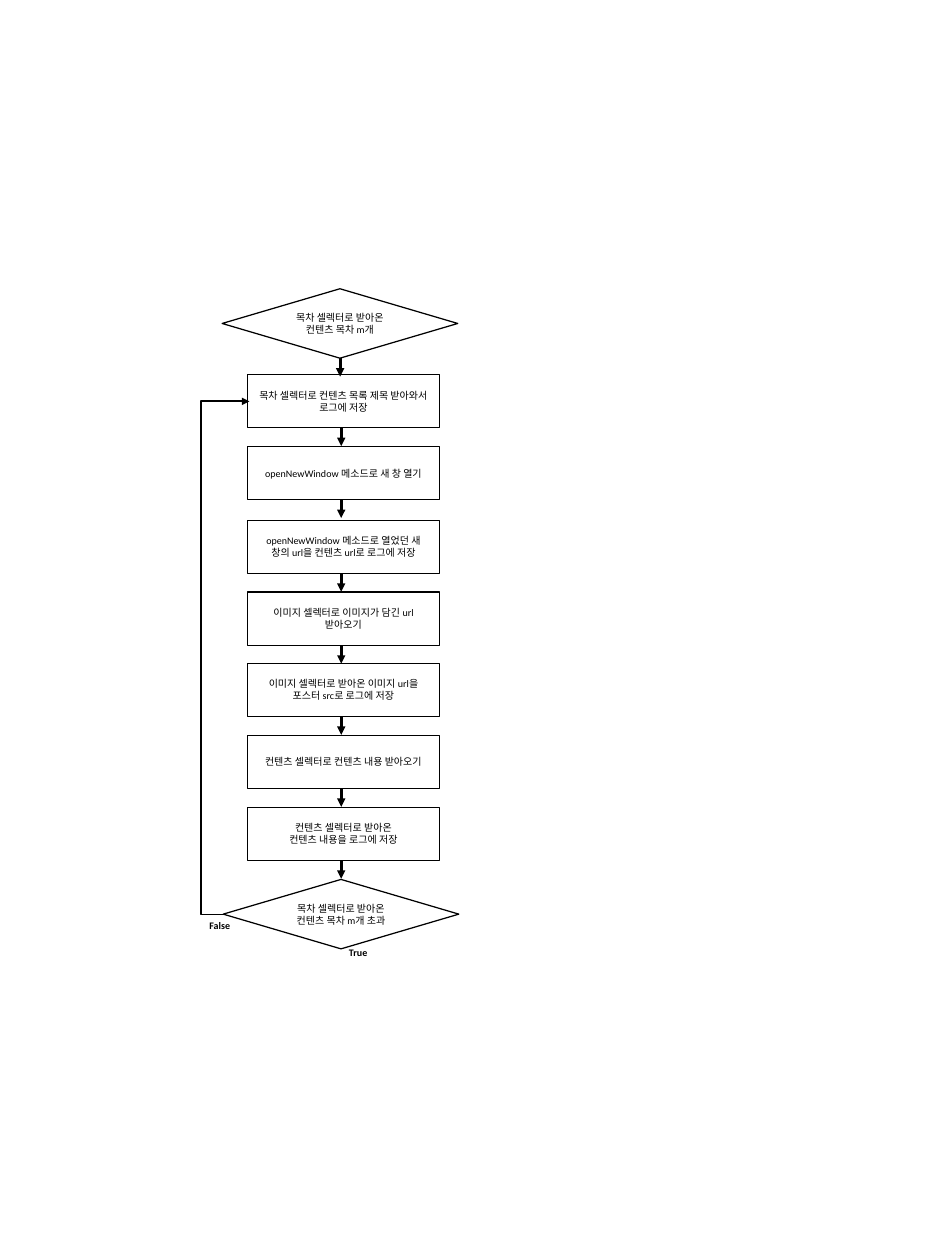
from dataclasses import dataclass

from lxml import etree
from pptx import Presentation
from pptx.dml.color import RGBColor
from pptx.enum.shapes import MSO_CONNECTOR as CONN, MSO_SHAPE as SHAPE
from pptx.enum.text import MSO_ANCHOR as ANCHOR, MSO_AUTO_SIZE as AUTO, PP_ALIGN as ALIGN
from pptx.oxml.ns import qn
from pptx.util import Cm, Pt

BLACK, WHITE = "000000", "FFFFFF"
STEP_LEFT, STEP_W, STEP_H = 6.99, 5.41, 1.5
DECISION_W, DECISION_H = 6.65, 1.96
ARROW_X, ARROW_LEN = 9.63, 0.52


@dataclass
class Node:
    """A flowchart node; lengths in centimetres, one paragraph per line of text."""
    text: str
    top: float
    left: float = STEP_LEFT
    w: float = STEP_W
    h: float = STEP_H
    kind: SHAPE = SHAPE.RECTANGLE
    arrow_x: float = ARROW_X


def decision(text: str, top: float, left: float, arrow_x: float = ARROW_X) -> Node:
    return Node(text, top, left, DECISION_W, DECISION_H,
                SHAPE.FLOWCHART_DECISION, arrow_x)


START = decision("목차 셀렉터로 받아온 컨텐츠 목차 m개", 8.15, 6.27, 9.6)
STEPS = [
    Node("목차 셀렉터로 컨텐츠 목록 제목 받아와서 로그에 저장", 10.57),
    Node("openNewWindow 메소드로 새 창 열기", 12.6),
    Node("openNewWindow 메소드로 열었던 새 창의 url을 컨텐츠 url로 로그에 저장", 14.68),
    Node("이미지 셀렉터로 이미지가 담긴 url 받아오기", 16.71),
    Node("이미지 셀렉터로 받아온 이미지 url을 포스터 src로 로그에 저장", 18.72),
    Node("컨텐츠 셀렉터로 컨텐츠 내용 받아오기", 20.75),
    Node("컨텐츠 셀렉터로 받아온\n컨텐츠 내용을 로그에 저장", 22.78),
]
END = decision("목차 셀렉터로 받아온 컨텐츠 목차 m개 초과", 24.82, 6.3)


def color(value: str) -> RGBColor:
    return RGBColor.from_string(value)


def write(tf, text: str, *, size: float = 8, bold: bool = False,
          align: ALIGN = ALIGN.LEFT, anchor: ANCHOR = ANCHOR.TOP) -> None:
    tf.word_wrap = True
    tf.vertical_anchor = anchor
    for i, line in enumerate(text.split("\n")):
        p = tf.add_paragraph() if i else tf.paragraphs[0]
        p.alignment = align
        r = p.add_run()
        r.text = line
        r.font.name, r.font.size, r.font.bold = "Calibri", Pt(size), bold
        r.font.color.rgb = color(BLACK)


def draw_node(slide, node: Node) -> None:
    sp = slide.shapes.add_shape(node.kind, Cm(node.left), Cm(node.top),
                                Cm(node.w), Cm(node.h))
    sp.shadow.inherit = False
    sp.fill.solid()
    sp.fill.fore_color.rgb = color(WHITE)
    sp.line.color.rgb = color(BLACK)
    sp.line.width = Pt(1)
    write(sp.text_frame, node.text, align=ALIGN.CENTER, anchor=ANCHOR.MIDDLE)


def draw_arrow(slide, x1: float, y1: float, x2: float, y2: float,
               width: float = 2.25, kind: CONN = CONN.STRAIGHT):
    cxn = slide.shapes.add_connector(kind, Cm(x1), Cm(y1), Cm(x2), Cm(y2))
    cxn.line.color.rgb = color(BLACK)
    cxn.line.width = Pt(width)
    etree.SubElement(cxn.line._get_or_add_ln(), qn("a:tailEnd"), type="triangle")
    etree.SubElement(cxn._element.spPr, qn("a:effectLst"))
    return cxn


def draw_label(slide, text: str, left: float, top: float) -> None:
    tf = slide.shapes.add_textbox(Cm(left), Cm(top), Cm(1.27), Cm(0.61)).text_frame
    write(tf, text, bold=True)
    tf.auto_size = AUTO.SHAPE_TO_FIT_TEXT


def main() -> None:
    prs = Presentation()
    prs.slide_width, prs.slide_height = Cm(26.67), Cm(35.56)
    slide = prs.slides.add_slide(prs.slide_layouts[6])

    # Nodes, then the arrow that leaves each one downwards
    for node in [START, *STEPS, END]:
        draw_node(slide, node)
    for node in [START, *STEPS]:
        bottom = node.top + node.h
        draw_arrow(slide, node.arrow_x, bottom, node.arrow_x, bottom + ARROW_LEN)

    # Loop back to the first step, bending left of both ends
    loop = draw_arrow(slide, 6.32, 25.81, 7.04, 11.33, 1.5, CONN.ELBOW)
    guides = loop._element.spPr.find(qn("a:prstGeom")).get_or_add_avLst()
    etree.SubElement(guides, qn("a:gd"), name="adj1", fmla="val -90800")

    # Branch labels
    draw_label(slide, "True", 9.6, 26.59)
    draw_label(slide, "False", 5.66, 25.83)

    prs.save("out.pptx")


if __name__ == "__main__":
    main()
